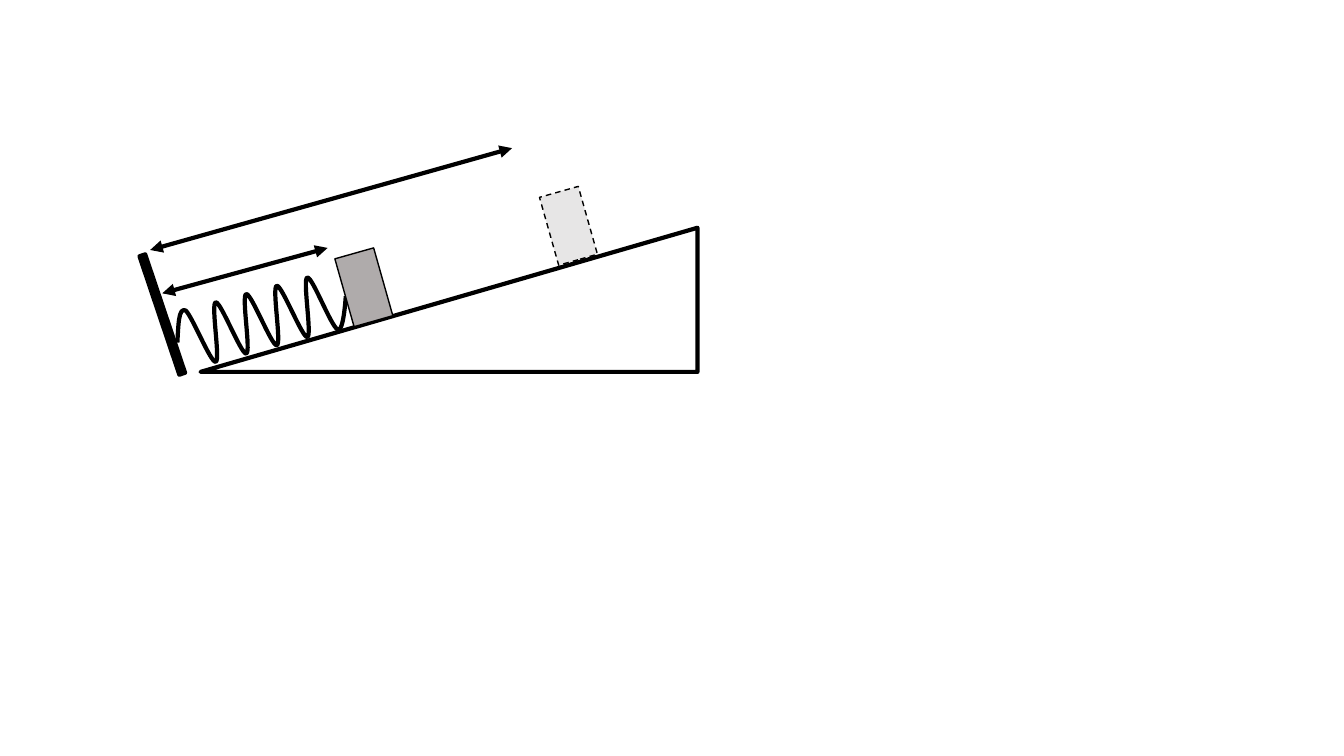
from dataclasses import dataclass
from math import cos, radians, sin

from lxml import etree
from pptx import Presentation
from pptx.dml.color import RGBColor
from pptx.enum.dml import MSO_LINE
from pptx.enum.shapes import MSO_CONNECTOR, MSO_SHAPE
from pptx.oxml.ns import qn
from pptx.util import Inches, Pt

STRAIGHT = MSO_CONNECTOR.STRAIGHT
RECTANGLE = MSO_SHAPE.RECTANGLE
RIGHT_TRIANGLE = MSO_SHAPE.RIGHT_TRIANGLE
DASH = MSO_LINE.DASH

CELL = Inches(0.1)  # one column or row of the grid
COLUMNS, ROWS = 133.33, 75


@dataclass(frozen=True)
class Theme:
    ink: RGBColor = RGBColor(0, 0, 0)
    block: RGBColor = RGBColor(0xAF, 0xAB, 0xAB)
    ghost: RGBColor = RGBColor(0xE7, 0xE6, 0xE6)
    heavy: float = 3
    thin: float = 1


def cells(count):
    return round(count * CELL)


def turn(point, center, degrees):
    """Rotate a point clockwise around a center."""
    angle = radians(degrees)
    x, y = point[0] - center[0], point[1] - center[1]
    return (center[0] + x * cos(angle) - y * sin(angle),
            center[1] + x * sin(angle) + y * cos(angle))


class Diagram:
    """Draws grouped elements on one slide, measured in grid cells."""

    def __init__(self, slide, theme):
        self.theme = theme
        self.shapes = slide.shapes.add_group_shape().shapes

    def outline(self, shape, width):
        shape.line.color.rgb = self.theme.ink
        shape.line.width = Pt(width)

    def box(self, kind, left, top, width, height, fill=None, line=None, rotation=0):
        shape = self.shapes.add_shape(kind, *map(cells, (left, top, width, height)))
        shape.shadow.inherit = False
        shape.rotation = rotation
        if fill is None:
            shape.fill.background()
        else:
            shape.fill.solid()
            shape.fill.fore_color.rgb = fill
        self.outline(shape, line or self.theme.heavy)
        return shape

    def ramp(self, left, top, width, height):
        shape = self.box(RIGHT_TRIANGLE, left, top, width, height)
        shape.element.spPr.find(qn("a:xfrm")).set("flipH", "1")

    def double_arrow(self, start, end):
        arrow = self.shapes.add_connector(STRAIGHT, *map(cells, (*start, *end)))
        self.outline(arrow, self.theme.heavy)
        line = arrow.line._get_or_add_ln()
        for tag in ("a:headEnd", "a:tailEnd"):
            etree.SubElement(line, qn(tag), type="triangle")
        etree.SubElement(arrow.element.spPr, qn("a:effectLst"))

    def curve(self, points, rotation):
        """Draw a start point and Bézier triples in a frame turned by rotation."""
        origin = points[0]
        level = [turn(point, origin, -rotation) for point in points]
        start, *rest = [(cells(x), cells(y)) for x, y in level]
        builder = self.shapes.build_freeform(*start)
        builder.add_line_segments(rest, close=False)
        shape = builder.convert_to_shape()
        # Join each three line segments into one cubic segment
        segments = list(shape.element.iter(qn("a:lnTo")))
        for index in range(0, len(segments), 3):
            cubic = etree.Element(qn("a:cubicBezTo"))
            segments[index].addprevious(cubic)
            for segment in segments[index:index + 3]:
                cubic.append(segment[0])
                segment.getparent().remove(segment)
        # Keep the turned curve on its grid points
        middle = (shape.left + shape.width / 2, shape.top + shape.height / 2)
        center = turn(middle, [cells(value) for value in origin], rotation)
        shape.left = round(center[0] - shape.width / 2)
        shape.top = round(center[1] - shape.height / 2)
        shape.rotation = rotation
        shape.shadow.inherit = False
        shape.fill.background()
        self.outline(shape, self.theme.heavy)


def spring_points():
    """Start, four equal coils along the slope, and the end."""
    points = [(17.6, 34), (17.7, 32.3), (17.7, 30.5), (18.4, 30.8),
              (19, 31.2), (20.9, 36), (21.4, 35.9)]
    for coil in range(4):
        x, shift = 21.4 + 3.03 * coil, -0.82 * coil
        trough, peak = 35.9 + shift, 30 + shift
        points += [(x + 0.5, trough - 0.1), (x - 0.5, peak + 0.1), (x, peak),
                   (x + 0.5, peak - 0.1)]
        if coil < 3:
            points += [(x + 2.53, trough - 0.72), (x + 3.03, trough - 0.82)]
    return points + [(32.8, 32.3), (33.5, 32.7),
                     (34.1, 33), (34.3, 29.4), (34.3, 29.4)]


def main():
    presentation = Presentation()
    presentation.slide_width = cells(COLUMNS)
    presentation.slide_height = cells(ROWS)
    slide = presentation.slides.add_slide(presentation.slide_layouts[6])
    theme = Theme()
    diagram = Diagram(slide, theme)

    # Ramp, spring and wall
    diagram.ramp(19.9, 22.6, 49.3, 14.3)
    diagram.curve(spring_points(), rotation=344.7)
    diagram.box(RECTANGLE, 15.8, 25, 0.6, 12.4, theme.ink, rotation=341.4)

    # Block at the spring and its distance
    block = {"width": 4, "height": 7, "line": theme.thin, "rotation": 344.2}
    diagram.box(RECTANGLE, 34.1, 25, fill=theme.block, **block)
    diagram.double_arrow((16.1, 29.1), (32.5, 24.6))

    # Later position of the block and its distance
    ghost = diagram.box(RECTANGLE, 54.4, 18.9, fill=theme.ghost, **block)
    ghost.line.dash_style = DASH
    diagram.double_arrow((14.9, 24.8), (50.8, 14.7))

    presentation.save("out.pptx")


if __name__ == "__main__":
    main()
